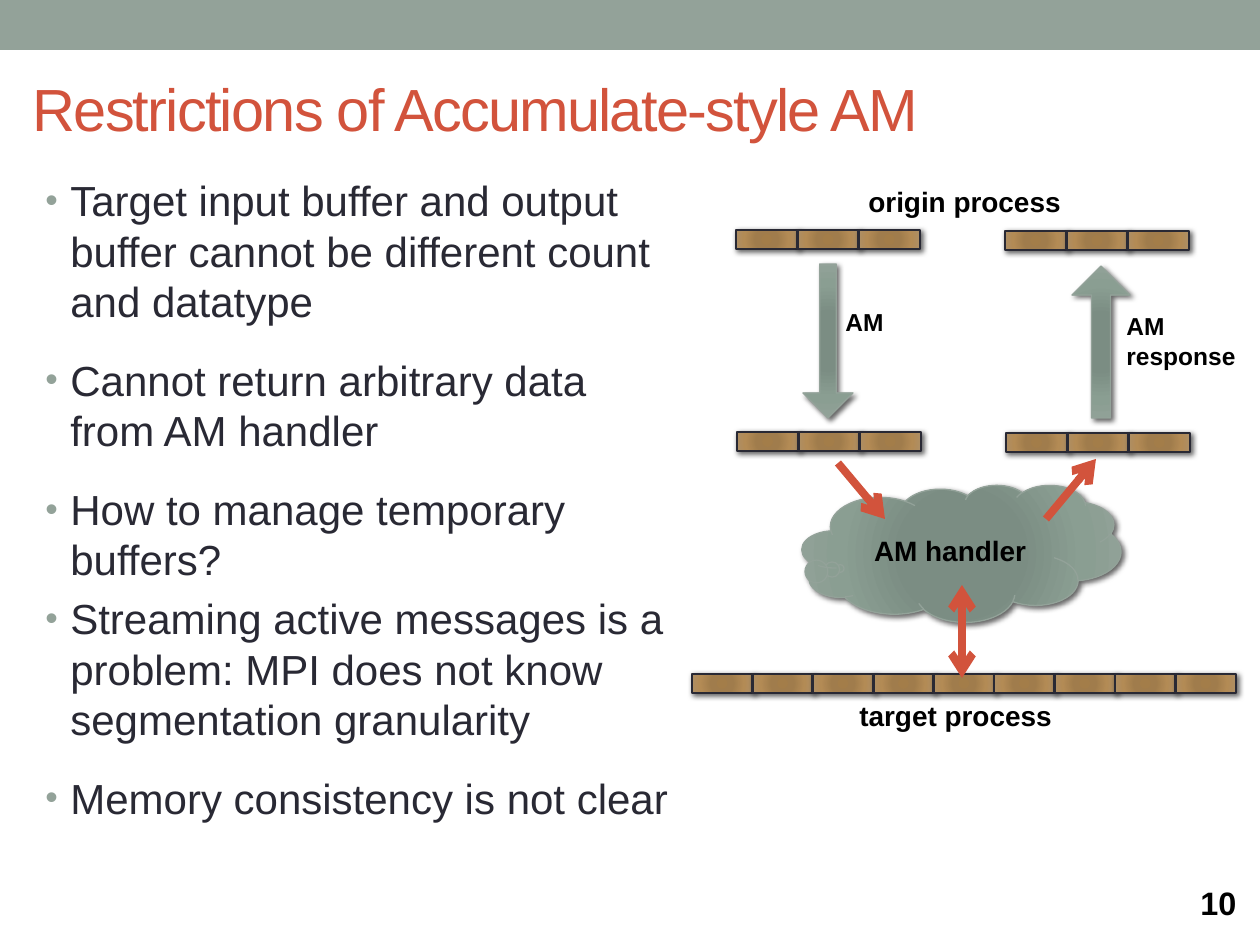
from lxml.etree import SubElement
from pptx import Presentation
from pptx.dml.color import RGBColor
from pptx.enum.shapes import MSO_CONNECTOR, MSO_SHAPE
from pptx.enum.text import MSO_ANCHOR, PP_ALIGN
from pptx.oxml import parse_xml
from pptx.oxml.ns import nsdecls, qn
from pptx.util import Emu, Pt

PX = 914400 // 126
FONT = "Arial"
SAGE = RGBColor(0x93, 0xA2, 0x99)
RED = RGBColor(0xD2, 0x53, 0x3C)
INK = RGBColor(0x29, 0x29, 0x34)
BLACK = RGBColor(0, 0, 0)

# Gradient stops: position in percent, colour
BROWN_STOPS = [(0, "A37D49"), (34, "A07C4C"), (70, "B38B55"), (100, "AD8F67")]
SAGE_STOPS = [(0, "7B8E82"), (34, "7B8D83"), (70, "8A9E92"), (100, "93A299")]

TITLE = "Restrictions of Accumulate-style AM"
# Bullet text, space before in points
BULLETS = [
    ("Target input buffer and output buffer cannot be different count and datatype", 0),
    ("Cannot return arbitrary data from AM handler", 16.5),
    ("How to manage temporary buffers?", 16.5),
    ("Streaming active messages is a problem: MPI does not know segmentation granularity", 5),
    ("Memory consistency is not clear", 16.5),
]
# Buffers: left, top, width, height, number of cells
BUFFERS = [
    (736, 230, 184, 19, 3),
    (1005, 231, 184, 19, 3),
    (737, 432, 184, 19, 3),
    (1006, 433, 184, 19, 3),
    (692, 674, 544, 19, 9),
]
# Block arrows: box, rotation
BLOCK_ARROWS = [((803, 264, 50, 154), 0), ((1072, 266, 58, 152), 180)]
CLOUD = (802, 485, 319, 137)
# Thin arrows: start, end, head at both ends
ARROWS = [
    ((838, 463), (885, 519), False),
    ((1046, 519), (1096, 459), False),
    ((962, 678), (962, 585), True),
]
# Labels: text, box, size
LABELS = [
    ("origin process", (856, 178, 328, 50), 16),
    ("target process", (847, 692, 316, 50), 16),
    ("AM", (833, 301, 106, 48), 14),
    ("AM response", (1114, 305, 146, 80), 14),
]


def px(*values):
    return [Emu(round(value * PX)) for value in values]


def write(paragraph, text, size, color=BLACK, bold=False, align=PP_ALIGN.LEFT):
    run = paragraph.add_run()
    run.text = text
    paragraph.alignment = align
    font = run.font
    font.name, font.size, font.bold = FONT, Pt(size), bold
    font.color.rgb = color
    return run


def add_box(slide, box, anchor=MSO_ANCHOR.TOP):
    frame = slide.shapes.add_textbox(*px(*box)).text_frame
    frame.word_wrap = True
    frame.vertical_anchor = anchor
    return frame


def add_glossy(slide, kind, box, stops, line_color, line_width):
    """Add a shape with a radial gradient and a soft drop shadow."""
    shape = slide.shapes.add_shape(kind, *px(*box))
    shape.fill.background()
    stop_xml = "".join(
        f'<a:gs pos="{position * 1000}"><a:srgbClr val="{color}"/></a:gs>'
        for position, color in stops
    )
    properties = shape.element.spPr
    properties.replace(properties.find(qn("a:noFill")), parse_xml(
        f'<a:gradFill {nsdecls("a")} rotWithShape="1"><a:gsLst>{stop_xml}</a:gsLst>'
        '<a:path path="circle"><a:fillToRect l="100000" t="100000" r="100000" b="100000"/>'
        '</a:path></a:gradFill>'))
    shape.line.color.rgb = line_color
    shape.line.width = Pt(line_width)
    properties.append(parse_xml(
        f'<a:effectLst {nsdecls("a")}><a:outerShdw blurRad="38100" dist="25400" dir="2700000">'
        '<a:srgbClr val="000000"><a:alpha val="60000"/></a:srgbClr></a:outerShdw></a:effectLst>'))
    return shape


def add_arrow(slide, start, end, both_ends):
    arrow = slide.shapes.add_connector(MSO_CONNECTOR.STRAIGHT, *px(*start, *end))
    arrow.line.color.rgb = RED
    arrow.line.width = Pt(4.5)
    line = arrow.line._get_or_add_ln()
    for tag in ["a:headEnd", "a:tailEnd"] if both_ends else ["a:tailEnd"]:
        SubElement(line, qn(tag), type="arrow")
    SubElement(arrow.element.spPr, qn("a:effectLst"))


def add_bullet(paragraph, text, space_before):
    properties = paragraph._p.get_or_add_pPr()
    indent = str(25 * PX)
    properties.set("marL", indent)
    properties.set("indent", "-" + indent)
    color = SubElement(properties, qn("a:buClr"))
    SubElement(color, qn("a:srgbClr"), val=str(SAGE))
    SubElement(properties, qn("a:buSzPct"), val="85000")
    SubElement(properties, qn("a:buFont"), typeface=FONT)
    SubElement(properties, qn("a:buChar"), char="•")
    paragraph.line_spacing = Pt(28.7)
    paragraph.space_before = Pt(space_before)
    write(paragraph, text, 24, INK)


def main():
    presentation = Presentation()
    presentation.slide_width, presentation.slide_height = px(1260, 945)
    slide = presentation.slides.add_slide(presentation.slide_layouts[5])

    # Top band and title
    band = slide.shapes.add_shape(MSO_SHAPE.RECTANGLE, *px(0, 0, 1260, 50))
    band.shadow.inherit = False
    band.fill.solid()
    band.fill.fore_color.rgb = SAGE
    band.line.fill.background()
    title = slide.shapes.title
    title.left, title.top, title.width, title.height = px(20, 40, 1203, 136)
    title.text_frame.vertical_anchor = MSO_ANCHOR.MIDDLE
    run = write(title.text_frame.paragraphs[0], TITLE, 34, RED)
    run.font._element.set("spc", "-100")

    # Bullet list
    frame = add_box(slide, (33, 169, 659, 708))
    for index, (text, space_before) in enumerate(BULLETS):
        paragraph = frame.add_paragraph() if index else frame.paragraphs[0]
        add_bullet(paragraph, text, space_before)

    # Buffers, each a row of equal cells
    for left, top, width, height, count in BUFFERS:
        cell = width / count
        for index in range(count):
            add_glossy(slide, MSO_SHAPE.RECTANGLE, (left + index * cell, top, cell, height),
                       BROWN_STOPS, INK, 1.5)

    # Messages between the processes
    for box, rotation in BLOCK_ARROWS:
        arrow = add_glossy(slide, MSO_SHAPE.DOWN_ARROW, box, SAGE_STOPS, SAGE, 0.75)
        arrow.adjustments[0] = 0.33
        arrow.rotation = rotation

    # Handler cloud and its arrows
    cloud = add_glossy(slide, MSO_SHAPE.CLOUD_CALLOUT, CLOUD, SAGE_STOPS, SAGE, 0.75)
    cloud.adjustments[0], cloud.adjustments[1] = -0.38, 0.11
    cloud.text_frame.vertical_anchor = MSO_ANCHOR.MIDDLE
    write(cloud.text_frame.paragraphs[0], "AM handler", 16, bold=True, align=PP_ALIGN.CENTER)
    for start, end, both_ends in ARROWS:
        add_arrow(slide, start, end, both_ends)

    # Labels and slide number
    for text, box, size in LABELS:
        write(add_box(slide, box).paragraphs[0], text, size, bold=True)
    number = add_box(slide, (1188, 880, 72, 45), MSO_ANCHOR.MIDDLE)
    write(number.paragraphs[0], "10", 18.5, bold=True)

    presentation.save("out.pptx")


if __name__ == "__main__":
    main()
